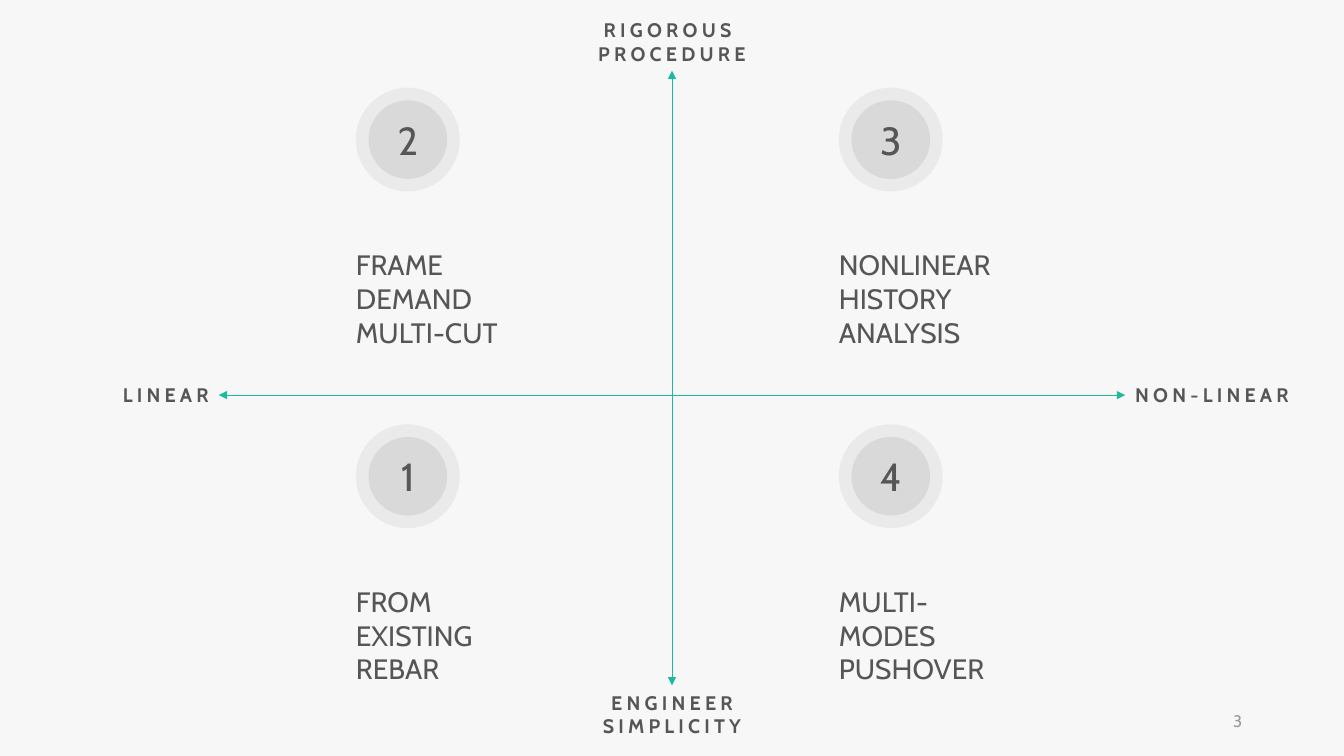
"""Build a quadrant slide that ranks four analysis methods along two axes."""
from dataclasses import dataclass

from lxml import etree
from pptx import Presentation
from pptx.dml.color import RGBColor
from pptx.enum import shapes as sh, text as tx
from pptx.oxml import ns
from pptx.util import Inches, Pt


@dataclass(frozen=True)
class Theme:
    """Colours, font and type sizes."""
    back: str = "F7F7F7"
    ink: str = "565656"
    axis: str = "1ABC9C"
    disc: str = "D9D9D9"
    pale: str = "9A9A9A"
    font: str = "Cabin"
    label: int = 14
    body: int = 20
    badge: int = 28
    page: int = 12


@dataclass(frozen=True)
class Label:
    """Text at one end of an axis."""
    text: str
    left: float
    top: float
    high: float
    align: tx.PP_ALIGN


@dataclass(frozen=True)
class Method:
    """One quadrant: its number, text, column and row."""
    num: int
    text: str
    col: int
    row: int


THEME = Theme()
MID = tx.MSO_ANCHOR.MIDDLE
ALIGN = tx.PP_ALIGN
LABELS = {
    "top": Label("RIGOROUS \nPROCEDURE", 5.73, 0.13, 0.57, ALIGN.CENTER),
    "base": Label("ENGINEER\nSIMPLICITY", 5.73, 6.8, 0.57, ALIGN.CENTER),
    "right": Label("NON-LINEAR", 11.16, 3.75, 0.34, ALIGN.LEFT),
    "left": Label("LINEAR", 0.3, 3.75, 0.34, ALIGN.RIGHT),
}
AXES = (("top", 2, "base", 0), ("left", 3, "right", 1))
METHODS = (
    Method(1, "FROM EXISTING REBAR", 0, 1),
    Method(2, "FRAME DEMAND\nMULTI-CUT", 0, 0),
    Method(3, "NONLINEAR HISTORY ANALYSIS", 1, 0),
    Method(4, "MULTI-MODES PUSHOVER", 1, 1),
)
COLS = (3.53, 8.32)
ROWS = (0.87, 4.21)
RING, CORE, DROP = 1.03, 0.78, 1.54


def write(frame, text: str, size: int, align: ALIGN, color: str = THEME.ink,
          bold: bool = False, space: int = 0) -> None:
    """Fill a text frame and format all its runs."""
    frame.word_wrap = True
    frame.text = text
    for para in frame.paragraphs:
        para.alignment = align
        for run in para.runs:
            font = run.font
            font.name, font.size, font.bold = THEME.font, Pt(size), bold
            font.color.rgb = RGBColor.from_string(color)
            if space:
                font._element.set("spc", str(space * 100))


def add_box(slide, left: float, top: float, wide: float, high: float):
    """Add a text box and return it."""
    return slide.shapes.add_textbox(*map(Inches, (left, top, wide, high)))


def add_label(slide, item: Label):
    """Add an axis label and return its box."""
    box = add_box(slide, item.left, item.top, 1.87, item.high)
    frame = box.text_frame
    write(frame, item.text, THEME.label, item.align, bold=True, space=3)
    frame.vertical_anchor = MID
    frame.auto_size = tx.MSO_AUTO_SIZE.SHAPE_TO_FIT_TEXT
    return box


def add_axis(slide, start, out: int, end, into: int) -> None:
    """Join two labels with a double-headed line."""
    line = slide.shapes.add_connector(sh.MSO_CONNECTOR.STRAIGHT, 0, 0, 0, 0)
    line.begin_connect(start, out)
    line.end_connect(end, into)
    line.line.color.rgb = RGBColor.from_string(THEME.axis)
    line.line.width = Pt(0.5)
    stroke = line.line._get_or_add_ln()
    for tag in ("a:headEnd", "a:tailEnd"):
        etree.SubElement(stroke, ns.qn(tag), type="triangle")
    etree.SubElement(line._element.spPr, ns.qn("a:effectLst"))


def add_disc(group, left: float, top: float, size: float):
    """Add a flat circle to a group and return it."""
    disc = group.shapes.add_shape(
        sh.MSO_SHAPE.OVAL, *map(Inches, (left, top, size, size)))
    disc.shadow.inherit = False
    disc.fill.solid()
    disc.fill.fore_color.rgb = RGBColor.from_string(THEME.disc)
    disc.line.fill.background()
    return disc


def add_method(slide, item: Method) -> None:
    """Add a numbered badge with its text below."""
    left, top = COLS[item.col], ROWS[item.row]
    group = slide.shapes.add_group_shape()
    gap = (RING - CORE) / 2
    add_disc(group, left + gap, top + gap, CORE)
    ring = add_disc(group, left, top, RING)
    tint = ring._element.spPr.find(".//" + ns.qn("a:srgbClr"))
    etree.SubElement(tint, ns.qn("a:alpha"), val="42000")
    write(ring.text_frame, str(item.num), THEME.badge, ALIGN.CENTER)
    ring.text_frame.vertical_anchor = MID
    frame = add_box(slide, left, top + DROP, 1.69, 1.11).text_frame
    frame.margin_left = 0
    write(frame, item.text, THEME.body, ALIGN.LEFT)
    frame.auto_size = tx.MSO_AUTO_SIZE.SHAPE_TO_FIT_TEXT


def main() -> None:
    """Build and save the slide."""
    deck = Presentation()
    deck.slide_width, deck.slide_height = Inches(13.33), Inches(7.5)
    slide = deck.slides.add_slide(deck.slide_layouts[6])
    fill = slide.background.fill
    fill.solid()
    fill.fore_color.rgb = RGBColor.from_string(THEME.back)
    ends = {key: add_label(slide, item) for key, item in LABELS.items()}
    for start, out, end, into in AXES:
        add_axis(slide, ends[start], out, ends[end], into)
    for item in METHODS:
        add_method(slide, item)
    page = add_box(slide, 9.42, 6.95, 3, 0.4).text_frame
    write(page, "3", THEME.page, ALIGN.RIGHT, THEME.pale)
    page.vertical_anchor = MID
    deck.save("out.pptx")


if __name__ == "__main__":
    main()
